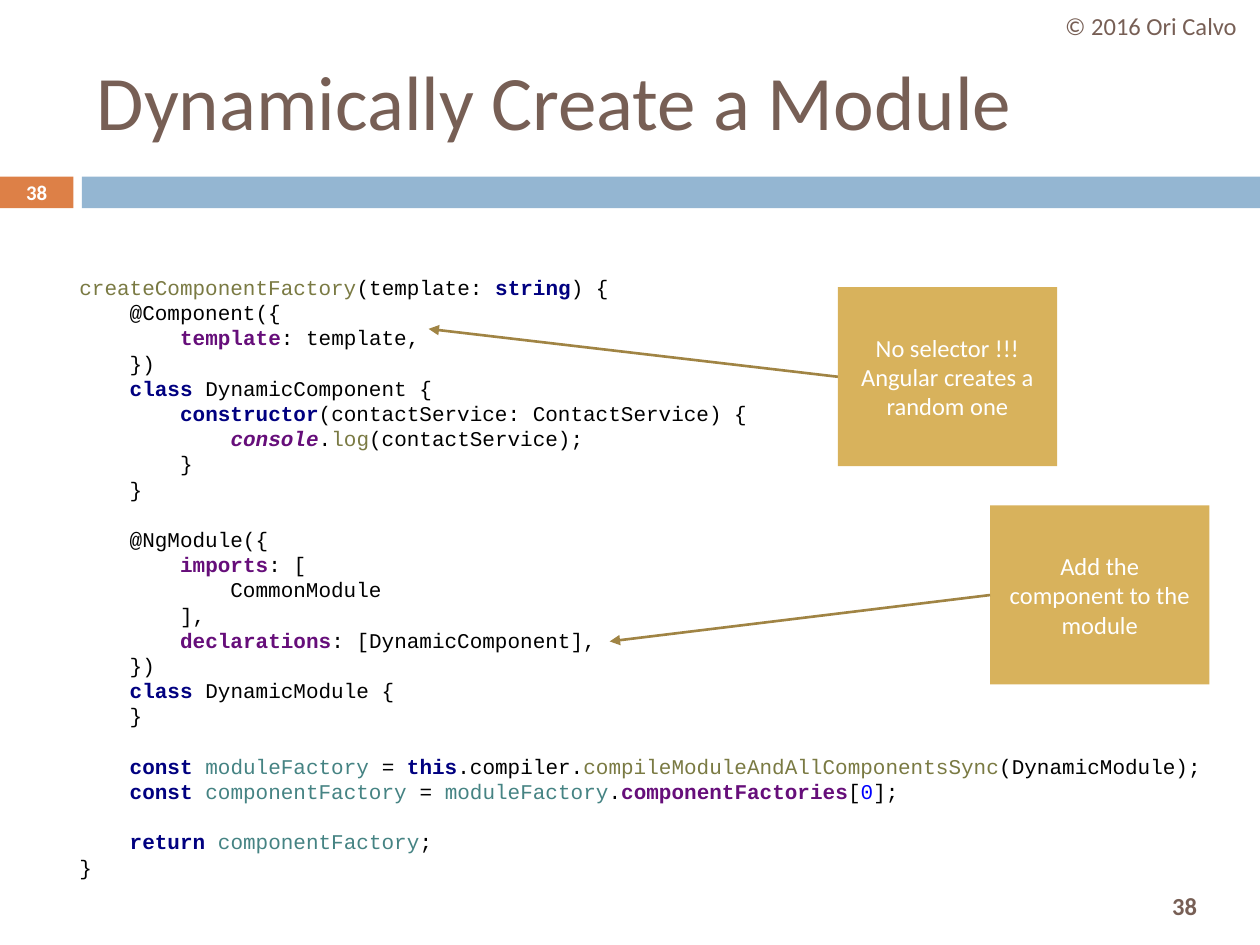
from copy import deepcopy

from lxml import etree
from pptx import Presentation
from pptx.dml.color import RGBColor
from pptx.enum import shapes, text
from pptx.oxml import ns
from pptx.util import Cm, Pt

COLORS = {
    "brown": "775F55", "orange": "DD8047", "blue": "94B6D2",
    "gold": "D8B25C", "arrow": "A08444", "white": "FFFFFF",
    "plain": "000000", "keyword": "000080", "member": "660E7A",
    "global": "660E7A", "function": "7A7A43", "variable": "458383",
    "number": "0000FF",
}
BOLD_TOKENS = {"keyword", "member", "global"}
CALLOUT_WIDTH, CALLOUT_HEIGHT = 4.42, 3.61

CODE = [
    ("function", "createComponentFactory"), ("plain", "(template: "),
    ("keyword", "string"), ("plain", ") {\n    @Component({\n        "),
    ("member", "template"), ("plain", ": template,\n    })\n    "),
    ("keyword", "class "), ("plain", "DynamicComponent {\n        "),
    ("keyword", "constructor"),
    ("plain", "(contactService: ContactService) {\n            "),
    ("global", "console"), ("plain", "."), ("function", "log"),
    ("plain", "(contactService);\n        }\n    }\n\n    @NgModule({\n        "),
    ("member", "imports"),
    ("plain", ": [\n            CommonModule\n        ],\n        "),
    ("member", "declarations"), ("plain", ": [DynamicComponent],\n    })\n    "),
    ("keyword", "class "), ("plain", "DynamicModule {\n    }\n\n    "),
    ("keyword", "const "), ("variable", "moduleFactory "), ("plain", "= "),
    ("keyword", "this"), ("plain", ".compiler."),
    ("function", "compileModuleAndAllComponentsSync"),
    ("plain", "(DynamicModule);\n    "),
    ("keyword", "const "), ("variable", "componentFactory "), ("plain", "= "),
    ("variable", "moduleFactory"), ("plain", "."),
    ("member", "componentFactories"), ("plain", "["), ("number", "0"),
    ("plain", "];\n\n    "),
    ("keyword", "return "), ("variable", "componentFactory"), ("plain", ";\n}"),
]


def rgb(color):
    return RGBColor.from_string(COLORS[color])


def write(paragraph, words, size=14, color="brown", font="Calibri",
          bold=False, italic=False):
    """Append formatted text; each newline becomes a line break of the same format."""
    for index, line in enumerate(words.split("\n")):
        if index:
            paragraph.add_line_break()
            line_break = paragraph._p[-1]
            line_break.append(deepcopy(run._r.rPr))
        if line:
            run = paragraph.add_run()
            run.text = line
            run.font.size = Pt(size)
            run.font.name = font
            run.font.bold = bold
            run.font.italic = italic
            run.font.color.rgb = rgb(color)


def write_paragraphs(frame, lines, align=text.PP_ALIGN.CENTER, **style):
    frame.word_wrap = True
    frame.vertical_anchor = text.MSO_ANCHOR.MIDDLE
    for index, line in enumerate(lines):
        paragraph = frame.add_paragraph() if index else frame.paragraphs[0]
        paragraph.alignment = align
        write(paragraph, line, **style)


def add_label(slide, words, left, top, width, height, **style):
    label = slide.shapes.add_textbox(Cm(left), Cm(top), Cm(width), Cm(height))
    write_paragraphs(label.text_frame, [words], **style)


def add_block(slide, left, top, width, height, color):
    block = slide.shapes.add_shape(shapes.MSO_SHAPE.RECTANGLE,
                                   Cm(left), Cm(top), Cm(width), Cm(height))
    block.shadow.inherit = False
    block.fill.solid()
    block.fill.fore_color.rgb = rgb(color)
    block.line.fill.background()
    return block


def add_arrow(slide, start, end):
    arrow = slide.shapes.add_connector(
        shapes.MSO_CONNECTOR.STRAIGHT, *(Cm(value) for value in (*start, *end)))
    arrow.line.color.rgb = rgb("arrow")
    arrow.line.width = Pt(1.5)
    etree.SubElement(arrow.line._get_or_add_ln(), ns.qn("a:tailEnd"), type="triangle")
    etree.SubElement(arrow._element.spPr, ns.qn("a:effectLst"))


def add_callout(slide, lines, left, top, target):
    """Add a note with an arrow from the middle of its left side to the target."""
    note = add_block(slide, left, top, CALLOUT_WIDTH, CALLOUT_HEIGHT, "gold")
    write_paragraphs(note.text_frame, lines, color="white")
    add_arrow(slide, (left, top + CALLOUT_HEIGHT / 2), target)


def add_code(slide, left, top, width, height):
    listing = slide.shapes.add_textbox(Cm(left), Cm(top), Cm(width), Cm(height))
    listing.text_frame.word_wrap = True
    paragraph = listing.text_frame.paragraphs[0]
    for token, words in CODE:
        write(paragraph, words, size=12, color=token, font="Courier New",
              bold=token in BOLD_TOKENS, italic=token == "global")


def main():
    deck = Presentation()
    deck.slide_width, deck.slide_height = Cm(25.4), Cm(19.05)
    slide = deck.slides.add_slide(deck.slide_layouts[6])

    add_block(slide, 0, 3.56, 1.48, 0.64, "orange")
    add_block(slide, 1.65, 3.56, 23.75, 0.64, "blue")
    add_label(slide, "38", 22.71, 17.73, 2.34, 1.07, bold=True)
    add_code(slide, 1.35, 5.41, 23.44, 12.57)
    add_label(slide, "Dynamically Create a Module", 1.7, 0.64, 22.66, 2.74,
              size=44, align=text.PP_ALIGN.LEFT)
    add_label(slide, "© 2016 Ori Calvo", 21.01, 0, 4.39, 1.02)
    add_label(slide, "38", 0, 3.53, 1.48, 0.69, size=11.9, color="white", bold=True)
    add_callout(slide, ["No selector !!!", "Angular creates a random one"],
                16.89, 5.79, target=(8.64, 6.63))
    add_callout(slide, ["Add the component to the module"],
                19.96, 10.19, target=(12.29, 12.93))

    deck.save("out.pptx")


if __name__ == "__main__":
    main()
